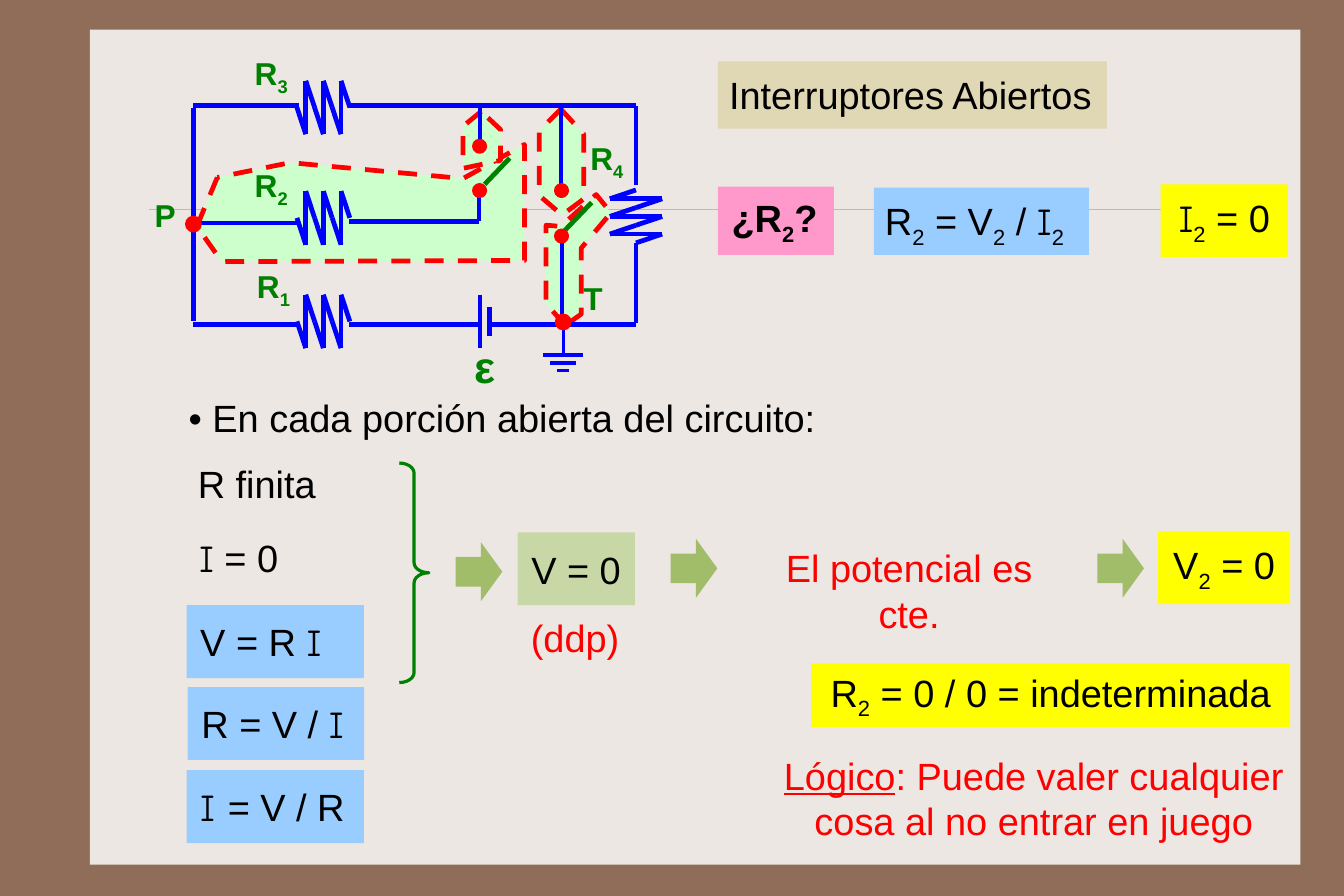
from dataclasses import dataclass
from typing import Optional

import pptx
import pptx.dml.color
import pptx.enum.dml
import pptx.enum.shapes
import pptx.enum.text
import pptx.oxml.ns
import pptx.util
from lxml import etree

WIDTH, HEIGHT = pptx.util.Pt(850.5), pptx.util.Pt(567)
CELL = 0.1
COLORS = {
    "frame": "906D58", "panel": "EDE7E3", "rule": "CBBD83", "wire": "0000FF",
    "red": "FF0000", "green": "008000", "mint": "CCFFCC", "black": "000000",
    "olive": "C7D7A5", "arrow": "A1BD69", "yellow": "FFFF00", "sand": "E0D7B5",
    "sky": "99CCFF", "pink": "FF99CC",
}
SHAPE = pptx.enum.shapes.MSO_SHAPE
FIT = pptx.enum.text.MSO_AUTO_SIZE
LEFT, CENTER = pptx.enum.text.PP_ALIGN.LEFT, pptx.enum.text.PP_ALIGN.CENTER
TOP, MIDDLE = pptx.enum.text.MSO_ANCHOR.TOP, pptx.enum.text.MSO_ANCHOR.MIDDLE
Point = tuple[float, float]


@dataclass
class Run:
    text: str
    font: str = "Arial"
    baseline: int = 0
    underline: bool = False


@dataclass
class Label:
    box: tuple[float, float, float, float]
    runs: list[Run]
    fill: Optional[str] = None
    color: str = "black"
    size: int = 24
    bold: bool = False
    align: pptx.enum.text.PP_ALIGN = LEFT
    anchor: pptx.enum.text.MSO_ANCHOR = TOP
    inset: Point = (1, 0.9)
    wrap: bool = False


@dataclass
class Wire:
    start: Point
    end: Point
    color: str = "wire"
    width: float = 3


@dataclass
class Dot:
    left: float
    top: float
    size: float
    width: float


def plain(text: str) -> Run:
    return Run(text)


def sub(text: str) -> Run:
    return Run(text, baseline=-25000)


def current(text: str = "I") -> Run:
    return Run(text, font="Comic Neue")


def cells(n: float) -> pptx.util.Emu:
    return pptx.util.Inches(n * CELL)


def rgb(name: str) -> pptx.dml.color.RGBColor:
    return pptx.dml.color.RGBColor.from_string(COLORS[name])


def paint(sp, fill: Optional[str], line: Optional[str] = None, width: float = 1) -> None:
    sp.shadow.inherit = False
    if fill:
        sp.fill.solid()
        sp.fill.fore_color.rgb = rgb(fill)
    else:
        sp.fill.background()
    if line:
        sp.line.color.rgb = rgb(line)
        sp.line.width = pptx.util.Pt(width)
    else:
        sp.line.fill.background()


def draw_shape(s, kind, box, fill, line=None, width=1, adjustments=(), rotation=0):
    sp = s.shapes.add_shape(kind, *map(cells, box))
    paint(sp, fill, line, width)
    for i, value in enumerate(adjustments):
        sp.adjustments[i] = value
    sp.rotation = rotation
    return sp


def draw_wire(s, wire: Wire) -> None:
    ends = map(cells, (*wire.start, *wire.end))
    sp = s.shapes.add_connector(pptx.enum.shapes.MSO_CONNECTOR.STRAIGHT, *ends)
    sp.line.color.rgb = rgb(wire.color)
    sp.line.width = pptx.util.Pt(wire.width)
    etree.SubElement(sp._element.spPr, pptx.oxml.ns.qn("a:effectLst"))


def draw_region(s, points: list[Point]) -> None:
    corners = [(cells(x), cells(y)) for x, y in points]
    builder = s.shapes.build_freeform(*corners[0], scale=1.0)
    builder.add_line_segments(corners[1:], close=True)
    sp = builder.convert_to_shape()
    paint(sp, "mint", "red", 3)
    sp.line.dash_style = pptx.enum.dml.MSO_LINE.DASH


def draw_resistor(s, x: float, y: float, vertical: bool = False) -> None:
    step, reach = 1.55, -2.3 if vertical else 2.35
    for tooth in range(3):
        a = tooth * step
        b, c = a + step / 2, a + step
        for pair in (((a, 0), (b, reach)), ((b, -reach), (b, reach)), ((b, -reach), (c, 0))):
            start, end = [(x + v, y + u) if vertical else (x + u, y + v) for u, v in pair]
            draw_wire(s, Wire(start, end))


def draw_label(s, label: Label) -> None:
    if label.fill:
        sp = draw_shape(s, SHAPE.RECTANGLE, label.box, label.fill)
    else:
        sp = s.shapes.add_textbox(*map(cells, label.box))
    tf = sp.text_frame
    tf.word_wrap = label.wrap
    tf.auto_size = FIT.NONE if label.wrap else FIT.SHAPE_TO_FIT_TEXT
    tf.vertical_anchor = label.anchor
    tf.margin_left = tf.margin_right = cells(label.inset[0])
    tf.margin_top = tf.margin_bottom = cells(label.inset[1])
    p = tf.paragraphs[0]
    p.alignment = label.align
    for run in label.runs:
        r = p.add_run()
        r.text = run.text
        r.font.name = run.font
        r.font.size = pptx.util.Pt(label.size)
        r.font.bold = label.bold
        r.font.underline = run.underline
        r.font.color.rgb = rgb(label.color)
        if run.baseline:
            r._r.get_or_add_rPr().set("baseline", str(run.baseline))


def tag(box, *runs: Run, **style) -> Label:
    return Label(box, list(runs), color="green", bold=True, **{"size": 20, **style})


def card(box, fill: str, *runs: Run, **style) -> Label:
    return Label(box, list(runs), fill, **{"anchor": MIDDLE, "inset": (1.2, 1.2), **style})


REGIONS = [
    [(19.1, 15.6), (17.3, 19.9), (19.5, 23), (46.1, 22.9), (46.1, 12.7), (40.7, 15.7), (25.5, 14.3)],
    [(49.3, 9.6), (51.3, 11.8), (51.3, 17.5), (49.4, 18.9), (47.4, 17.2), (47.4, 11.5)],
    [(42.3, 9.8), (40.7, 11.1), (40.7, 14.8), (44, 14.1), (44, 11.4)],
    [(49.7, 28.6), (48, 26.7), (48, 19.8), (49.3, 19.9), (52.4, 17.1), (53.7, 18.7),
     (51.1, 21.8), (51.1, 27.6)],
]
WIRES = [
    Wire((49.5, 20.4), (52, 17.8), "green"), Wire((42.6, 16.2), (44.8, 13.9), "green"),
    Wire((43, 27), (43, 29.5)), Wire((42.2, 25.9), (42.2, 30.6)),
    Wire((30.7, 9.3), (55.9, 9.3)), Wire((42.1, 19.5), (30.7, 19.5)),
    Wire((17, 9.5), (17, 28.2)), Wire((42.2, 9.3), (42.2, 12.4)),
    Wire((42.1, 16.3), (42.1, 19.4)), Wire((26.3, 9.3), (17, 9.3)),
    Wire((26.2, 19.6), (16.9, 19.6)), Wire((26.3, 28.5), (17, 28.5)),
    Wire((42.2, 28.5), (30.7, 28.5)), Wire((55.9, 28.5), (43, 28.5)),
    Wire((55.9, 9.3), (55.9, 16.3)), Wire((55.9, 21.4), (55.9, 28.4)),
    Wire((49.3, 16.3), (49.3, 9.3)), Wire((49.4, 21.3), (49.4, 28.3)),
    Wire((49.5, 28.5), (49.5, 31.2), width=2),
    *[Wire((49.5 - half, y), (49.5 + half, y), width=2)
      for half, y in ((1.75, 31.2), (1.15, 31.9), (0.55, 32.6))],
]
DOTS = [Dot(48.9, 16.3, 0.9, 3), Dot(41.7, 16.3, 0.9, 3), Dot(41.7, 12.4, 0.9, 3),
        Dot(48.9, 20.3, 0.9, 3), Dot(48.9, 27.7, 1.2, 2), Dot(16.4, 19.1, 1.2, 2)]
LABELS = [
    tag((40.7, 29.3, 4, 5.7), plain("ε"), size=28, inset=(1, 0.5), wrap=True),
    *[tag((x, y, 5, 5.1), plain("R"), sub(n)) for x, y, n in
      ((21.6, 22.6, "1"), (21.4, 13.7, "2"), (21.4, 3.8, "3"), (50.9, 11.3, "4"))],
    tag((12.6, 16.3, 3.8, 5.1), plain("P")),
    tag((50.3, 23.6, 3.7, 5.1), plain("T")),
    card((45.5, 46.8, 10.3, 6.4), "olive", plain("V = 0")),
    Label((16.4, 39.6, 12.4, 5.1), [plain("R finita")]),
    Label((16.7, 46.2, 9.1, 5.6), [current(), plain(" = 0")], anchor=MIDDLE, inset=(0.8, 0.8), wrap=True),
    Label((15.6, 34.2, 61.1, 5.1), [plain("• En cada porción abierta del circuito:")],
          inset=(1, 0.5), wrap=True),
    card((71.3, 58.3, 42.1, 5.6), "yellow", plain("R"), sub("2"), plain(" = 0 / 0 = indeterminada"),
         align=CENTER, inset=(0.8, 0.8), wrap=True),
    card((102, 16.2, 11.2, 6.4), "yellow", current(), sub("2"), plain(" = 0"), align=CENTER),
    card((101.8, 46.7, 11.6, 6.4), "yellow", plain("V"), sub("2"), plain(" = 0"), align=CENTER),
    Label((67.4, 65.2, 46.9, 9.9), [Run("Lógico", underline=True),
          plain(": Puede valer cualquier cosa al no entrar en juego")],
          color="red", align=CENTER, wrap=True),
    card((63.1, 5.4, 34.2, 5.9), "sand", plain("Interruptores Abiertos"), anchor=TOP, inset=(1, 0.9)),
    card((76.8, 16.5, 18.9, 5.9), "sky", plain("R"), sub("2"), plain(" = V"), sub("2"), plain(" / "),
         current(), sub("2"), anchor=TOP, inset=(1, 0.9), wrap=True),
    card((63.1, 16.4, 10.2, 6), "pink", plain("¿R"), sub("2"), plain("?"), bold=True, inset=(1.2, 0.8)),
    Label((65.3, 47, 29.2, 5.1), [plain("El potencial es cte.")], color="red", align=CENTER),
    card((16.4, 53.2, 15.6, 6.4), "sky", plain("V = R "), current(), wrap=True),
    card((16.5, 60.4, 15.5, 6.4), "sky", plain("R = V / "), current()),
    card((16.4, 67.7, 15.6, 6.4), "sky", current("I "), plain("= V / R")),
    Label((45.4, 53.1, 10.3, 5.1), [plain("(ddp)")], color="red", align=CENTER),
]


def main() -> None:
    prs = pptx.Presentation()
    prs.slide_width, prs.slide_height = WIDTH, HEIGHT
    s = prs.slides.add_slide(prs.slide_layouts[6])
    s.background.fill.solid()
    s.background.fill.fore_color.rgb = rgb("frame")
    draw_shape(s, SHAPE.RECTANGLE, (7.9, 2.6, 106.4, 73.4), "panel")
    draw_wire(s, Wire((13.1, 18.4), (112.2, 18.4), "rule", 0.25))
    for region in REGIONS:
        draw_region(s, region)
    for wire in WIRES:
        draw_wire(s, wire)
    for y in (9.45, 19.15, 28.25):
        draw_resistor(s, 26.1, y)
    draw_resistor(s, 55.9, 16.7, vertical=True)
    for dot in DOTS:
        draw_shape(s, SHAPE.OVAL, (dot.left, dot.top, dot.size, dot.size), "red", "red", dot.width)
    for left, top in ((39.5, 48.2), (58.4, 47.9), (95.9, 47.9)):
        draw_shape(s, SHAPE.DOWN_ARROW, (left, top, 5.2, 4.1), "arrow",
                   adjustments=(0.5, 0.46), rotation=270)
    draw_shape(s, SHAPE.RIGHT_BRACE, (35.1, 40.7, 2.6, 19.3), None, "green", 2, (0.34, 0.5))
    for label in LABELS:
        draw_label(s, label)
    prs.save("out.pptx")


if __name__ == "__main__":
    main()
